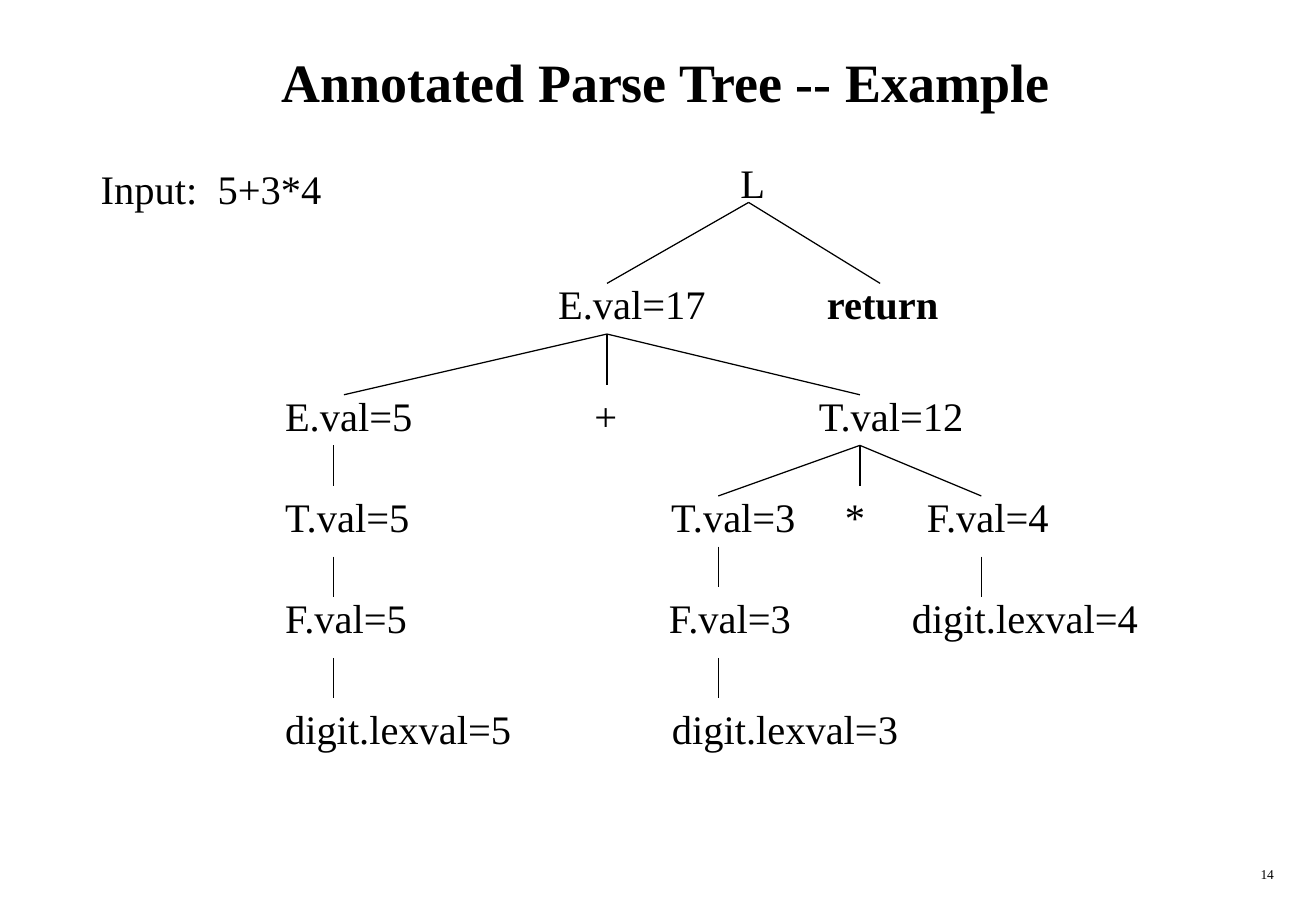
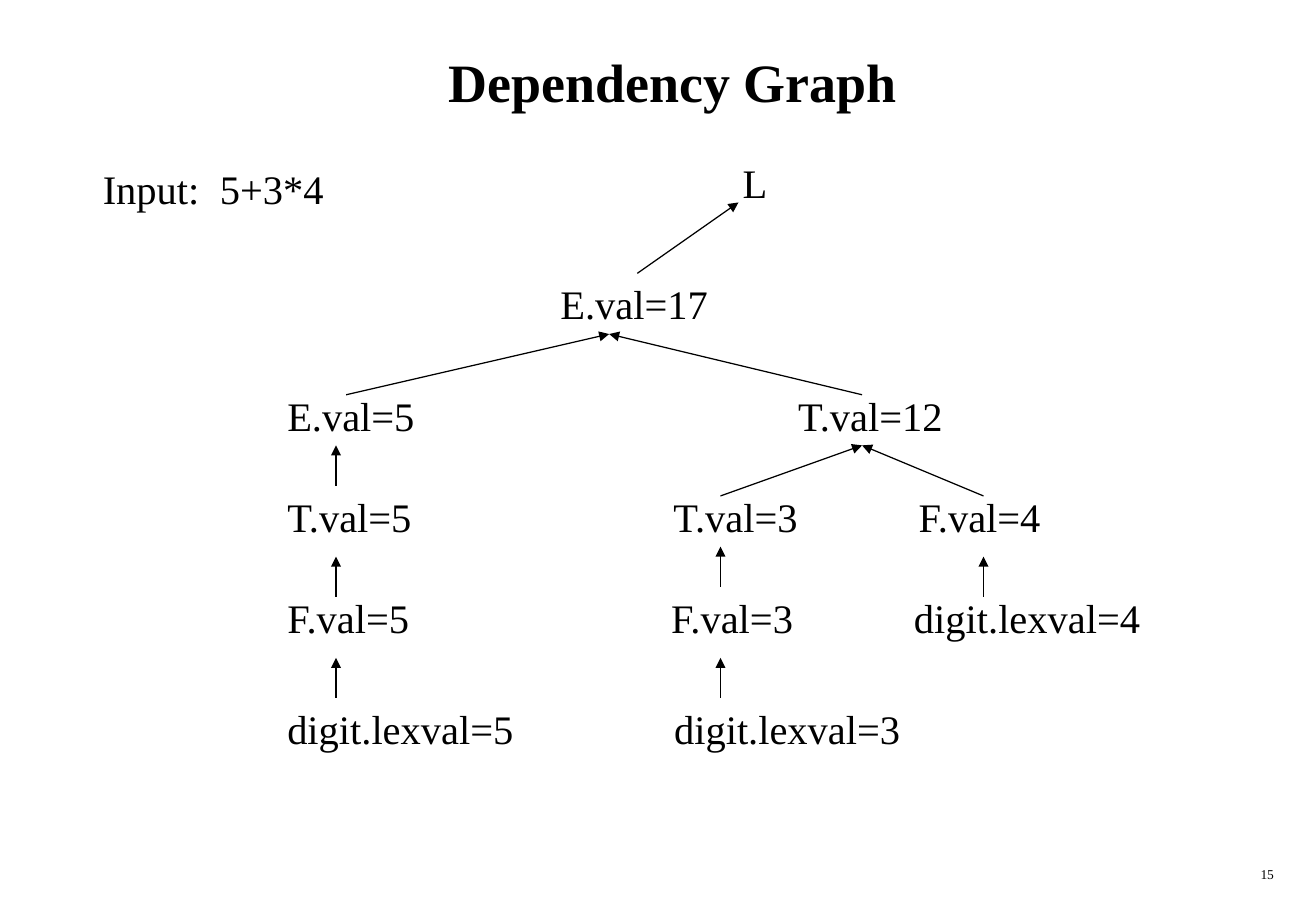
from lxml import etree
from pptx import Presentation
from pptx.dml.color import RGBColor
from pptx.enum.shapes import MSO_CONNECTOR
from pptx.enum.text import MSO_ANCHOR, PP_ALIGN
from pptx.oxml.ns import qn
from pptx.util import Pt

LEFT, CENTER, RIGHT = PP_ALIGN.LEFT, PP_ALIGN.CENTER, PP_ALIGN.RIGHT
TOP, MIDDLE = MSO_ANCHOR.TOP, MSO_ANCHOR.MIDDLE
STRAIGHT = MSO_CONNECTOR.STRAIGHT
WIDTH, HEIGHT = 780.48, 540
INK, PAPER = "000000", "FFFFFF"

PLAIN = {"name": "Times New Roman", "size": Pt(24), "bold": False}
BOLD = {**PLAIN, "bold": True}
TITLE = {**BOLD, "size": Pt(32)}
SMALL = {**PLAIN, "size": Pt(8)}

NODES = [
    ("Input:", 52.6, 93.6), ("5+3*4", 122, 93.6), ("L", 432, 90),
    ("E.val=17", 324, 162), ("E.val=5", 162, 228),
    ("T.val=5", 162, 288), ("T.val=3", 391, 288),
    ("F.val=5", 162, 348), ("F.val=3", 389.7, 348),
    ("digit.lexval=4", 533.7, 348),
    ("digit.lexval=5", 162, 414), ("digit.lexval=3", 391.4, 414),
]
EDGES = [
    (360, 198, 204, 234), (360, 198, 510, 234),
    (198, 264, 198, 288), (198, 330, 198, 354), (198, 390, 198, 414),
    (510, 264, 426, 294), (510, 264, 582, 294),
    (426, 324, 426, 348), (426, 390, 426, 414), (582, 330, 582, 354),
]
TREE = {
    "nodes": [("+", 345.5, 228), ("T.val=12", 478.6, 228),
              ("*", 494, 288), ("F.val=4", 542.6, 288)],
    "edges": [(444, 120, 360, 168), (444, 120, 522, 168),
              (360, 198, 360, 228), (510, 264, 510, 288)],
}
GRAPH = {
    "nodes": [("T.val=12", 465, 228), ("F.val=4", 536.5, 288)],
    "edges": [(436.7, 120, 376.7, 162)],
}


def tint(code):
    return RGBColor.from_string(code)


class Deck:
    def __init__(self):
        self.file = Presentation()
        self.file.slide_width, self.file.slide_height = Pt(WIDTH), Pt(HEIGHT)
        fill = self.file.slide_master.background.fill
        fill.solid()
        fill.fore_color.rgb = tint(PAPER)
        self.slide = None
        self.shift = 0

    def page(self, title, number, shift=0):
        self.slide = self.file.slides.add_slide(self.file.slide_layouts[5])
        self.shift = shift
        head = self.slide.shapes.title
        self.place(head, 30, 12, 738, 72)
        self.label(head, title, TITLE, CENTER, MIDDLE)
        foot = self.slide.shapes.add_textbox(Pt(600), Pt(510), Pt(162.7), Pt(18))
        self.label(foot, str(number), SMALL, RIGHT)

    def place(self, shape, left, top, width, height):
        spots = {"left": left, "top": top, "width": width, "height": height}
        for key, value in spots.items():
            setattr(shape, key, Pt(value))

    def label(self, shape, text, style, align=LEFT, anchor=TOP):
        frame = shape.text_frame
        frame.word_wrap = True
        frame.vertical_anchor = anchor
        para = frame.paragraphs[0]
        para.alignment = align
        run = para.add_run()
        run.text = text
        for key, value in style.items():
            setattr(run.font, key, value)
        run.font.color.rgb = tint(INK)

    def node(self, text, left, top, style=PLAIN):
        width = 13 * len(text) + 20
        box = self.slide.shapes.add_textbox(
            Pt(left + self.shift), Pt(top), Pt(width), Pt(36))
        self.label(box, text, style)

    def edge(self, x1, y1, x2, y2, arrow=False):
        link = self.slide.shapes.add_connector(
            STRAIGHT, Pt(x1 + self.shift), Pt(y1), Pt(x2 + self.shift), Pt(y2))
        link.line.width = Pt(0.75)
        link.line.color.rgb = tint(INK)
        props = link.element.spPr
        if arrow:
            etree.SubElement(props.find(qn("a:ln")), qn("a:headEnd"), type="triangle")
        etree.SubElement(props, qn("a:effectLst"))

    def chart(self, extra, arrow=False):
        for node in NODES + extra["nodes"]:
            self.node(*node)
        for edge in EDGES + extra["edges"]:
            self.edge(*edge, arrow=arrow)


def main():
    deck = Deck()
    deck.page("Annotated Parse Tree -- Example ", 14)
    deck.chart(TREE)
    deck.node("return", 483.3, 162, BOLD)
    deck.page("Dependency Graph", 15, shift=1.3)
    deck.chart(GRAPH, arrow=True)
    deck.file.save("out.pptx")


if __name__ == "__main__":
    main()
